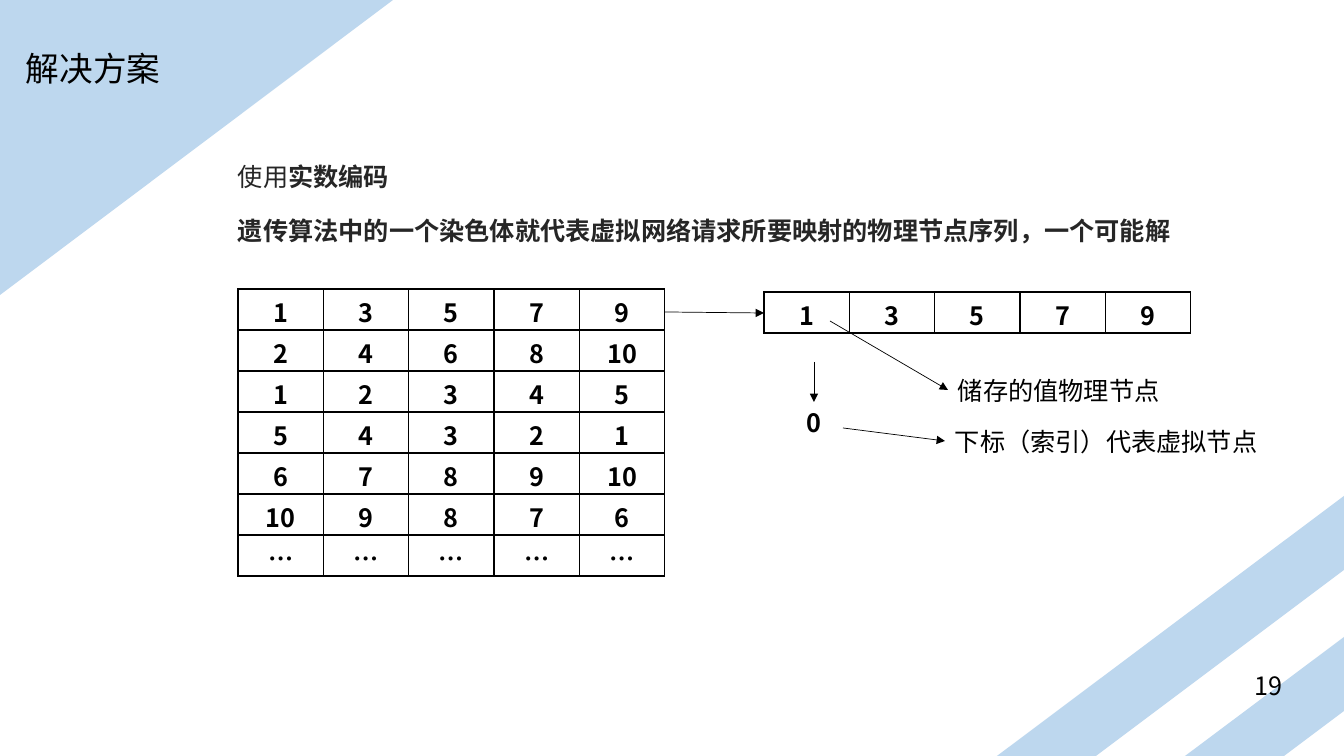
from dataclasses import dataclass

from lxml.etree import SubElement
from pptx import Presentation
from pptx.dml.color import RGBColor as Rgb
from pptx.enum.shapes import MSO_CONNECTOR as Connector
from pptx.enum.text import MSO_AUTO_SIZE as AutoSize, PP_ALIGN as Align
from pptx.oxml.ns import qn
from pptx.util import Emu, Pt

PIXEL = 914400 / 100.8


def px(pixels: float) -> Emu:
    return Emu(round(pixels * PIXEL))


@dataclass(frozen=True)
class Theme:
    font: str = "Noto Sans CJK SC"
    black: Rgb = Rgb(0, 0, 0)
    body_ink: Rgb = Rgb(0x26, 0x26, 0x26)
    white: Rgb = Rgb(255, 255, 255)
    band: Rgb = Rgb(0xBD, 0xD7, 0xEE)
    title_size: int = 24
    body_size: int = 18
    paragraph_gap: int = 17
    arrow_width: float = 0.5
    border_width: int = 1


THEME = Theme()


@dataclass(frozen=True)
class Span:
    text: str
    bold: bool = False


@dataclass(frozen=True)
class Label:
    left: int
    top: int
    width: int
    height: int
    lines: tuple[tuple[Span, ...], ...]
    size: int = THEME.body_size
    color: Rgb = THEME.black
    align: Align = Align.LEFT
    wrap: bool = True


@dataclass(frozen=True)
class Grid:
    left: int
    top: int
    width: int
    row_height: int
    rows: tuple[tuple[str, ...], ...]


@dataclass(frozen=True)
class Arrow:
    start: tuple[int, int]
    end: tuple[int, int]


BANDS = (
    ((0, 0), (393, 0), (0, 295)),
    ((1344, 637), (1344, 711), (1284, 756), (1185, 756)),
    ((1344, 496), (1344, 570), (1096, 756), (997, 756)),
)

LABELS = (
    Label(1245, 665, 64, 40, ((Span("19"),),)),
    Label(16, 43, 156, 50, ((Span("解决方案"),),), size=THEME.title_size, wrap=False),
    Label(228, 156, 969, 102, (
        (Span("使用"), Span("实数编码", bold=True)),
        (Span("遗传算法中的一个染色体就代表虚拟网络请求所要映射的物理节点序列，一个可能解", bold=True),),
    ), color=THEME.body_ink, wrap=False),
    Label(948, 370, 243, 40, ((Span("储存的值物理节点"),),)),
    Label(797, 402, 34, 40, ((Span("0", bold=True),),), align=Align.CENTER, wrap=False),
    Label(945, 421, 324, 40, ((Span("下标（索引）代表虚拟节点"),),)),
)

CHROMOSOME = ("1", "3", "5", "7", "9")
POPULATION = (
    CHROMOSOME,
    ("2", "4", "6", "8", "10"),
    ("1", "2", "3", "4", "5"),
    ("5", "4", "3", "2", "1"),
    ("6", "7", "8", "9", "10"),
    ("10", "9", "8", "7", "6"),
    ("…",) * 5,
)
GRIDS = (
    Grid(238, 289, 427, 41, POPULATION),
    Grid(764, 292, 427, 41, (CHROMOSOME,)),
)

ARROWS = (
    Arrow((665, 312), (764, 313)),
    Arrow((830, 321), (948, 390)),
    Arrow((843, 428), (945, 441)),
    Arrow((814, 362), (814, 402)),
)


def style_paragraph(para, size: int, color: Rgb, align: Align, bold: bool) -> None:
    para.alignment = align
    font = para.font
    font.size, font.bold, font.name = Pt(size), bold, THEME.font
    font.color.rgb = color
    defaults = para._p.pPr.find(qn("a:defRPr"))
    SubElement(defaults, qn("a:ea"), typeface=THEME.font)


def draw_band(page, points: tuple[tuple[int, int], ...]) -> None:
    builder = page.shapes.build_freeform(*points[0], scale=PIXEL)
    builder.add_line_segments(points[1:], close=True)
    band = builder.convert_to_shape()
    band.shadow.inherit = False
    band.fill.solid()
    band.fill.fore_color.rgb = THEME.band
    band.line.fill.background()


def draw_label(page, label: Label) -> None:
    box = page.shapes.add_textbox(
        px(label.left), px(label.top), px(label.width), px(label.height))
    frame = box.text_frame
    frame.word_wrap = label.wrap
    frame.auto_size = AutoSize.SHAPE_TO_FIT_TEXT
    for index, spans in enumerate(label.lines):
        para = frame.add_paragraph() if index else frame.paragraphs[0]
        if index:
            para.space_before = Pt(THEME.paragraph_gap)
        all_bold = all(span.bold for span in spans)
        style_paragraph(para, label.size, label.color, label.align, all_bold)
        for span in spans:
            run = para.add_run()
            run.text = span.text
            if span.bold != all_bold:
                run.font.bold = span.bold


def draw_borders(cell) -> None:
    properties = cell._tc.get_or_add_tcPr()
    for side in ("a:lnL", "a:lnR", "a:lnT", "a:lnB"):
        line = SubElement(properties, qn(side), w=str(Pt(THEME.border_width)))
        fill = SubElement(line, qn("a:solidFill"))
        SubElement(fill, qn("a:srgbClr"), val=str(THEME.black))


def draw_grid(page, grid: Grid) -> None:
    row_count, column_count = len(grid.rows), len(grid.rows[0])
    table = page.shapes.add_table(
        row_count, column_count, px(grid.left), px(grid.top),
        px(grid.width), px(grid.row_height * row_count)).table
    table.first_row = table.horz_banding = False
    for column in table.columns:
        column.width = px(grid.width / column_count)
    for row, values in zip(table.rows, grid.rows):
        row.height = px(grid.row_height)
        for cell, value in zip(row.cells, values):
            cell.margin_top, cell.margin_bottom = px(4), 0
            cell.text = value
            style_paragraph(cell.text_frame.paragraphs[0], THEME.body_size,
                            THEME.black, Align.CENTER, True)
            draw_borders(cell)
            cell.fill.solid()
            cell.fill.fore_color.rgb = THEME.white


def draw_arrow(page, arrow: Arrow) -> None:
    connector = page.shapes.add_connector(
        Connector.STRAIGHT, *map(px, arrow.start + arrow.end))
    connector.line.color.rgb = THEME.black
    connector.line.width = Pt(THEME.arrow_width)
    SubElement(connector.line._get_or_add_ln(), qn("a:tailEnd"), type="triangle")
    SubElement(connector._element.spPr, qn("a:effectLst"))


def main() -> None:
    deck = Presentation()
    deck.slide_width, deck.slide_height = px(1344), px(756)
    page = deck.slides.add_slide(deck.slide_layouts[6])
    for points in BANDS:
        draw_band(page, points)
    for grid in GRIDS:
        draw_grid(page, grid)
    for label in LABELS:
        draw_label(page, label)
    for arrow in ARROWS:
        draw_arrow(page, arrow)
    deck.save("out.pptx")


main()
